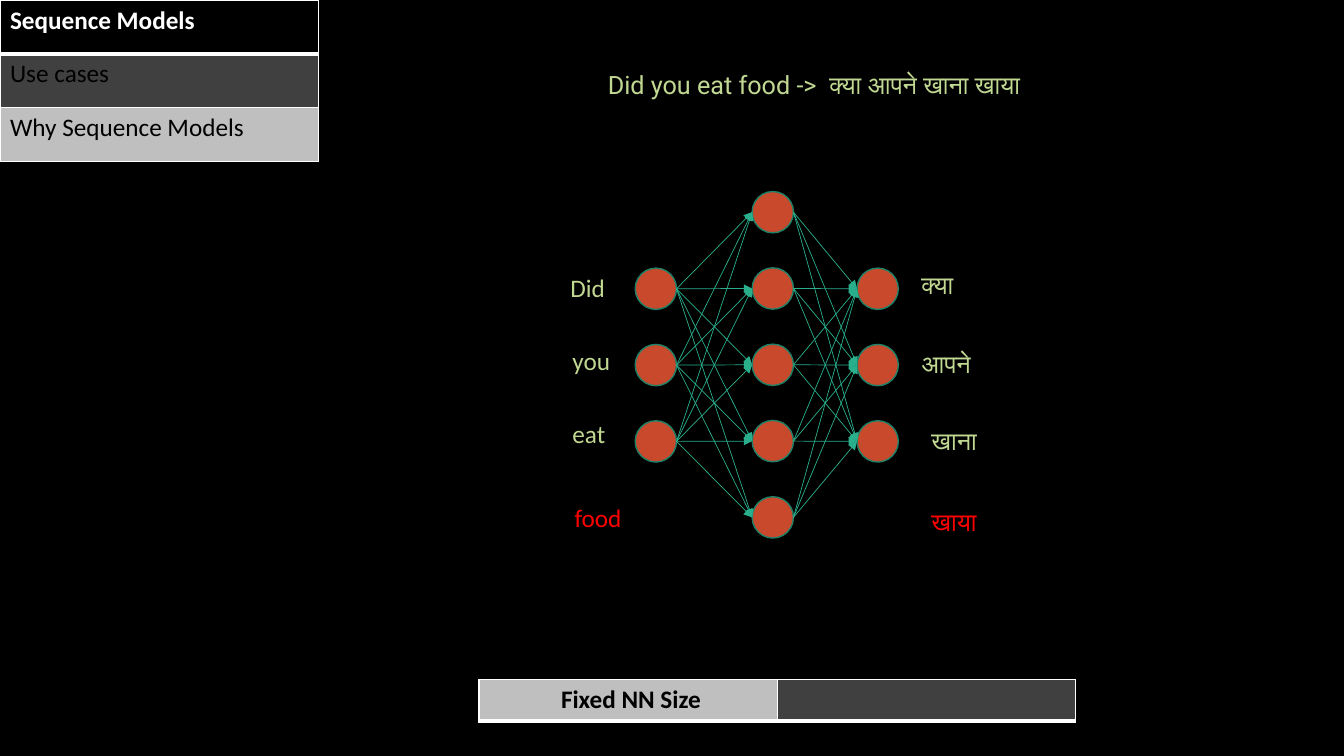
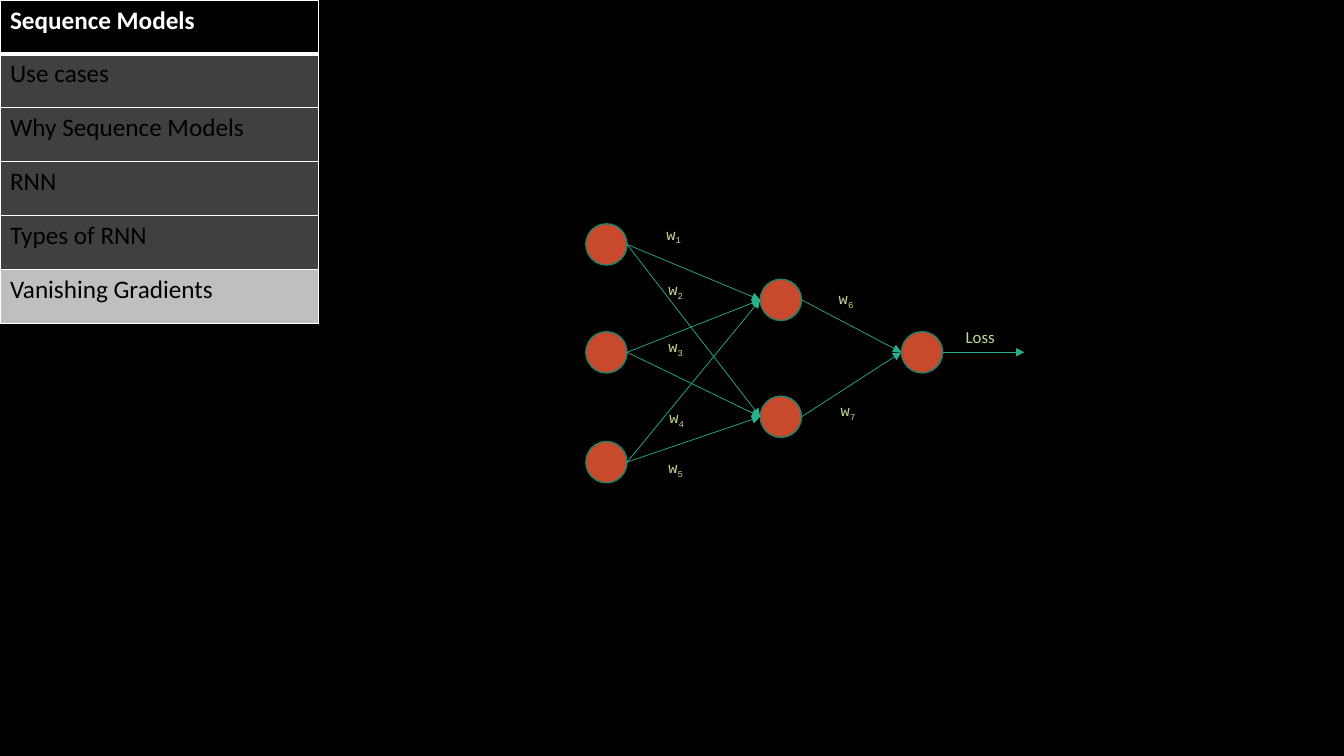
from dataclasses import dataclass
from itertools import pairwise, product

from lxml import etree
from pptx import Presentation
from pptx import slide as sl
from pptx import table as tb
from pptx.dml import color
from pptx.enum import shapes, text
from pptx.oxml import ns
from pptx.util import Inches, Pt


@dataclass(frozen=True)
class Theme:
    background: str = "000000"
    border: str = "FFFFFF"
    heading: str = "FFFFFF"
    dark_text: str = "000000"
    label: str = "C1D892"
    alert: str = "FF0000"
    past: str = "404040"
    current: str = "BFBFBF"
    node: str = "C9492C"
    node_line: str = "1E8168"
    arrow: str = "29AF8C"
    body_font: str = "Calibri"
    hindi_font: str = "Roboto"
    weight_font: str = "Courier New"
    body_size: float = 18
    loss_size: float = 12
    weight_size: float = 11
    thin: float = 1
    thick: float = 3
    arrow_width: float = 0.5


THEME = Theme()
NODE_SIZE = 0.41
AGENDA_WIDTH, AGENDA_ROW = 3.16, 0.535


@dataclass(frozen=True)
class Layer:
    left: float
    tops: tuple[float, ...]


@dataclass(frozen=True)
class Label:
    text: str
    left: float
    top: float
    width: float = 0.8
    height: float = 0.4
    font: str = THEME.body_font
    size: float = THEME.body_size
    color: str = THEME.label
    subscript: str = ""


def rgb(value: str) -> color.RGBColor:
    return color.RGBColor.from_string(value)


def style(paragraph, font: str, size: float, ink: str, bold: bool = False) -> None:
    paragraph.font.name = font
    paragraph.font.size = Pt(size)
    paragraph.font.color.rgb = rgb(ink)
    paragraph.font.bold = bold


def add_slide(deck) -> sl.Slide:
    slide = deck.slides.add_slide(deck.slide_layouts[6])
    slide.background.fill.solid()
    slide.background.fill.fore_color.rgb = rgb(THEME.background)
    return slide


def add_table(slide: sl.Slide, left: float, top: float, rows: int, columns: int,
              column_width: float, row_height: float) -> tb.Table:
    """Add a table without the banding of its style."""
    table = slide.shapes.add_table(
        rows, columns, Inches(left), Inches(top),
        Inches(column_width * columns), Inches(row_height * rows)).table
    table.first_row = table.horz_banding = False
    return table


def fill_cell(cell, words: str, fill: str, ink: str, bold: bool = False,
              bottom: float = THEME.thin, top: float = THEME.thin) -> None:
    properties = cell._tc.get_or_add_tcPr()
    borders = {"a:lnL": THEME.thin, "a:lnR": THEME.thin, "a:lnT": top, "a:lnB": bottom}
    for side, width in borders.items():
        line = etree.SubElement(properties, ns.qn(side), w=str(Pt(width)))
        solid = etree.SubElement(line, ns.qn("a:solidFill"))
        etree.SubElement(solid, ns.qn("a:srgbClr"), val=THEME.border)
    cell.fill.solid()
    cell.fill.fore_color.rgb = rgb(fill)
    cell.text = words
    style(cell.text_frame.paragraphs[0], THEME.body_font, THEME.body_size, ink, bold)


def add_agenda(slide: sl.Slide, topics: list[str]) -> None:
    """List the topics so far, the last one highlighted as current."""
    table = add_table(slide, 0, 0, len(topics) + 1, 1, AGENDA_WIDTH, AGENDA_ROW)
    fill_cell(table.cell(0, 0), "Sequence Models", THEME.background, THEME.heading,
              bold=True, bottom=THEME.thick)
    for row, topic in enumerate(topics, start=1):
        fill_cell(table.cell(row, 0), topic,
                  THEME.current if row == len(topics) else THEME.past, THEME.dark_text,
                  top=THEME.thick if row == 1 else THEME.thin)


def add_label(slide: sl.Slide, label: Label) -> None:
    frame = slide.shapes.add_textbox(Inches(label.left), Inches(label.top),
                                     Inches(label.width), Inches(label.height)).text_frame
    frame.word_wrap = True
    frame.auto_size = text.MSO_AUTO_SIZE.SHAPE_TO_FIT_TEXT
    paragraph = frame.paragraphs[0]
    style(paragraph, label.font, label.size, label.color)
    paragraph.add_run().text = label.text
    if label.subscript:
        index = paragraph.add_run()
        index.text = label.subscript
        index.font._element.set("baseline", "-25000")


def add_arrow(slide: sl.Slide, start: tuple[float, float], end: tuple[float, float]) -> None:
    arrow = slide.shapes.add_connector(
        shapes.MSO_CONNECTOR.STRAIGHT, *(Inches(value) for value in (*start, *end)))
    arrow.line.color.rgb = rgb(THEME.arrow)
    arrow.line.width = Pt(THEME.arrow_width)
    etree.SubElement(arrow.line._get_or_add_ln(), ns.qn("a:tailEnd"), type="triangle")
    etree.SubElement(arrow._element.spPr, ns.qn("a:effectLst"))


def add_network(slide: sl.Slide, layers: list[Layer]) -> None:
    """Draw the nodes and join every node to all nodes of the next layer."""
    for layer in layers:
        for top in layer.tops:
            node = slide.shapes.add_shape(
                shapes.MSO_SHAPE.OVAL, Inches(layer.left), Inches(top),
                Inches(NODE_SIZE), Inches(NODE_SIZE))
            node.shadow.inherit = False
            node.fill.solid()
            node.fill.fore_color.rgb = rgb(THEME.node)
            node.line.color.rgb = rgb(THEME.node_line)
            node.line.width = Pt(THEME.thin)
    middle = NODE_SIZE / 2
    for source, target in pairwise(layers):
        for source_top, target_top in product(source.tops, target.tops):
            add_arrow(slide, (source.left + NODE_SIZE, source_top + middle),
                      (target.left, target_top + middle))


def even_layer(left: float, first_top: float, count: int) -> Layer:
    return Layer(left, tuple(first_top + 0.757 * row for row in range(count)))


def build_why_slide(deck) -> None:
    slide = add_slide(deck)
    add_agenda(slide, ["Use cases", "Why Sequence Models"])
    add_network(slide, [even_layer(6.3, 2.66, 3), even_layer(7.46, 1.9, 5),
                        even_layer(8.5, 2.66, 3)])
    hindi = THEME.hindi_font
    for label in (
        Label("Did you eat food ->  क्या आपने खाना खाया", 5.93, 0.64, 6.67, 0.71, hindi),
        Label("Did", 5.56, 2.65),
        Label("you", 5.58, 3.38),
        Label("eat", 5.58, 4.1),
        Label("food", 5.6, 4.93, color=THEME.alert),
        Label("क्या", 9.04, 2.62, font=hindi),
        Label("आपने", 9.04, 3.41, font=hindi),
        Label("खाना", 9.14, 4.17, font=hindi),
        Label("खाया", 9.14, 4.97, font=hindi, color=THEME.alert),
    ):
        add_label(slide, label)

    limits = add_table(slide, 4.75, 6.74, 1, 2, 2.96, 0.41)
    for column, (words, fill) in enumerate(
            [(" Fixed NN Size", THEME.current), ("", THEME.past)]):
        cell = limits.cell(0, column)
        fill_cell(cell, words, fill, THEME.dark_text, bold=True, bottom=THEME.thick)
        cell.text_frame.paragraphs[0].alignment = text.PP_ALIGN.CENTER


def build_gradients_slide(deck) -> None:
    slide = add_slide(deck)
    output = Layer(8.94, (3.29,))
    add_network(slide, [Layer(5.81, (2.22, 3.29, 4.38)), Layer(7.54, (2.77, 3.93)), output])
    loss_y = output.tops[0] + NODE_SIZE / 2
    add_arrow(slide, (output.left + NODE_SIZE, loss_y), (10.16, loss_y))

    weight_places = [(6.51, 2.18), (6.53, 2.73), (6.53, 3.3), (6.54, 4), (6.53, 4.5),
                     (8.22, 2.82), (8.24, 3.93)]
    for number, (left, top) in enumerate(weight_places, start=1):
        add_label(slide, Label("w", left, top, 0.41, 0.29, THEME.weight_font,
                               THEME.weight_size, subscript=str(number)))
    add_label(slide, Label("Loss", 9.48, 3.19, height=0.3, size=THEME.loss_size))
    add_agenda(slide, ["Use cases", "Why Sequence Models", "RNN", "Types of RNN",
                       "Vanishing Gradients"])


def main() -> None:
    deck = Presentation()
    deck.slide_width, deck.slide_height = Inches(13.33), Inches(7.5)
    build_why_slide(deck)
    build_gradients_slide(deck)
    deck.save("out.pptx")


if __name__ == "__main__":
    main()
